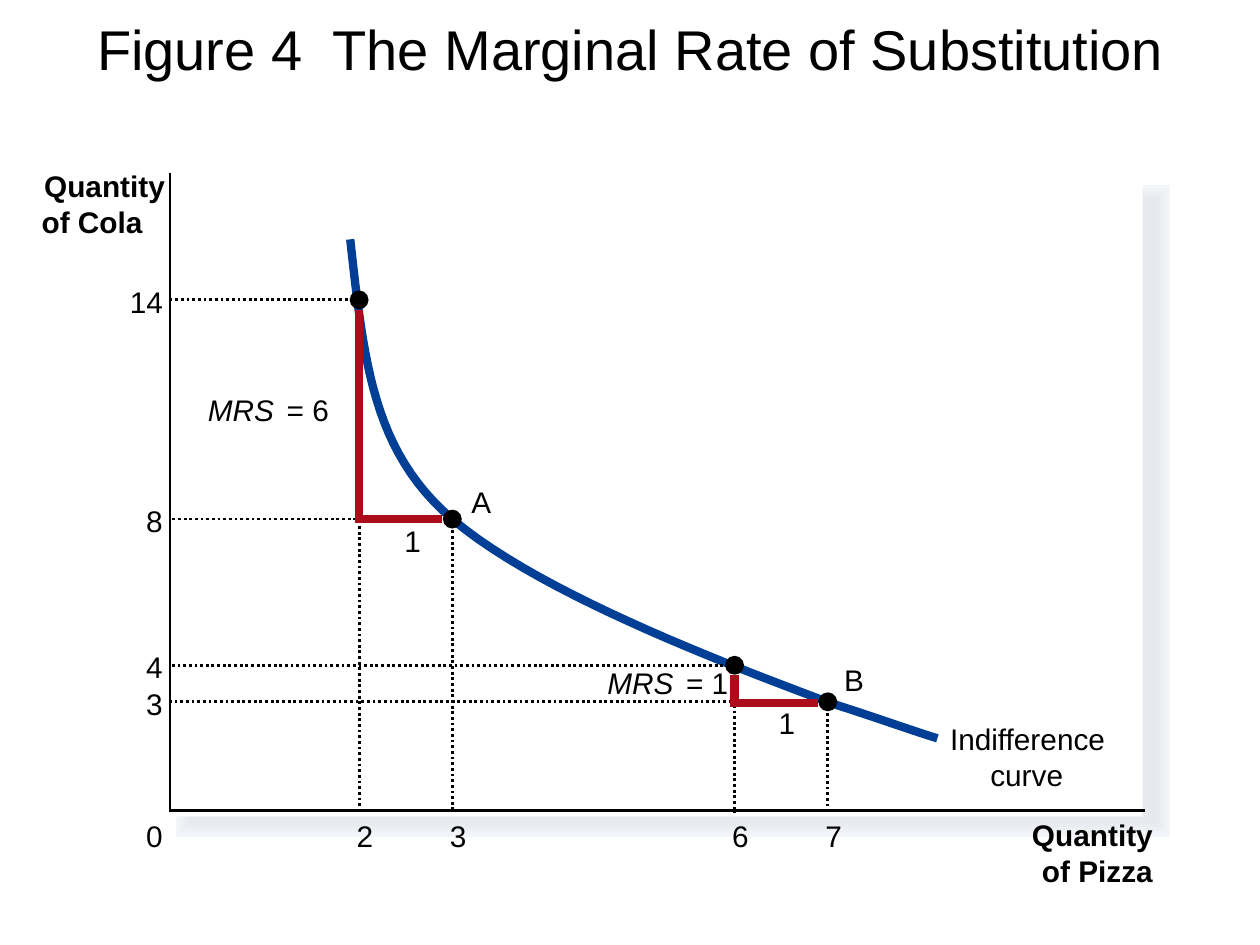
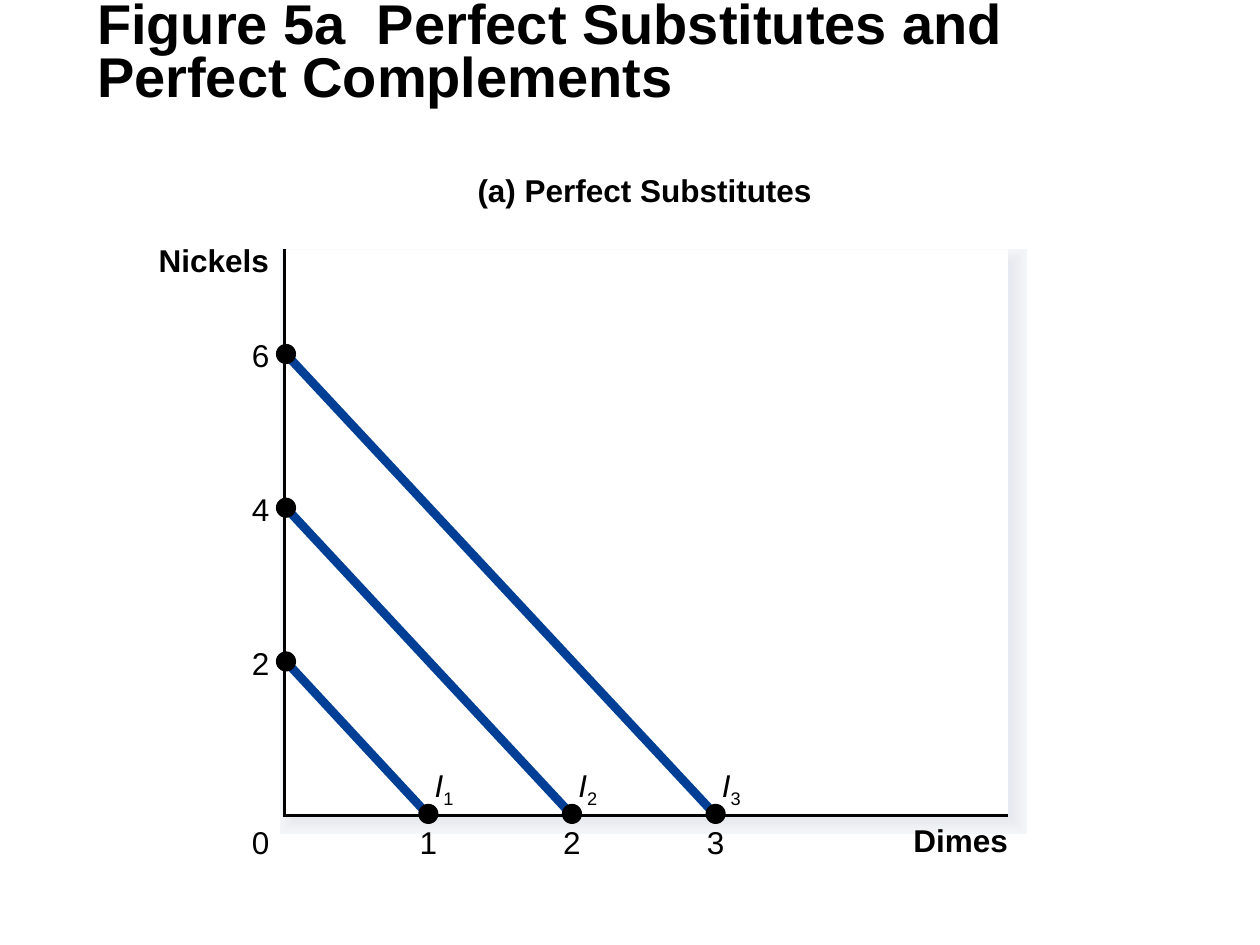
from lxml.etree import SubElement
from pptx import Presentation
from pptx.dml.color import RGBColor
from pptx.enum.dml import MSO_LINE
from pptx.enum.shapes import MSO_CONNECTOR as Conn, MSO_SHAPE as Shape
from pptx.enum.text import MSO_ANCHOR as Anchor, MSO_AUTO_SIZE as Fit, PP_ALIGN as Align
from pptx.oxml.ns import qn
from pptx.util import Inches, Pt

COLORS = {"ink": "000000", "paper": "FFFFFF", "curve": "003F95", "step": "AD0D1B"}
SHADES = ["F3F6F9", "F2F4F8", "F1F4F7", "F0F2F5", "EEF1F4", "EDEFF3",
          "EBEEF2", "EAECF1", "E9EBF0", "E7EAEF", "E6E9EF"]
FONT = "Arial"
THIN = 1.62
SLACK = 0.12  # spare width that keeps each label on one line


def rgb(name):
    return RGBColor.from_string(COLORS.get(name, name))


def bezier(start, *parts, steps=24):
    """Points along joined cubic curves, each part given as two handles and an end."""
    points = [start]
    for one, two, end in parts:
        for n in range(1, steps + 1):
            t = n / steps
            u = 1 - t
            points.append(tuple(
                u**3 * a + 3 * u * u * t * b + 3 * u * t * t * c + t**3 * d
                for a, b, c, d in zip(start, one, two, end)))
        start = end
    return points


class Deck:
    def __init__(self):
        self.prs = Presentation()
        self.prs.slide_width, self.prs.slide_height = Inches(10), Inches(7.5)

    def start(self, title, size, bold=False):
        """Begin a slide whose labels have the given size."""
        self.size = size
        slide = self.prs.slides.add_slide(self.prs.slide_layouts[5])
        self.shapes = slide.shapes
        head = self.shapes.title
        head.left, head.top = Inches(0.67), Inches(0.06)
        head.width, head.height = Inches(9), Inches(0.75)
        frame = head.text_frame
        frame.text = title
        frame.auto_size, frame.word_wrap = Fit.NONE, True
        frame.vertical_anchor = Anchor.MIDDLE
        para = frame.paragraphs[0]
        para.alignment, para.line_spacing = Align.LEFT, 0.8
        self.style(para.runs[0], 32, bold)

    def style(self, run, size, bold=False, italic=False):
        font = run.font
        font.name, font.size = FONT, Pt(size)
        font.bold, font.italic = bold, italic
        font.color.rgb = rgb("ink")

    def text(self, words, left, top, width, bold=False, italic=False, sub=""):
        box = self.shapes.add_textbox(Inches(left), Inches(top),
                                      Inches(width + SLACK), Pt(self.size * 1.2))
        frame = box.text_frame
        frame.margin_left = frame.margin_right = 0
        frame.margin_top = frame.margin_bottom = 0
        frame.word_wrap, frame.auto_size = True, Fit.NONE
        para = frame.paragraphs[0]
        para.text, para.alignment = words, Align.LEFT
        self.style(para.runs[0], self.size, bold, italic)
        if sub:
            low = para.add_run()
            low.text = sub
            self.style(low, self.size)
            low.font._element.set("baseline", "-25000")

    def stroke(self, shape, color, width):
        shape.line.color.rgb = rgb(color)
        shape.line.width = Pt(width)
        edge = shape._element.spPr.find(qn("a:ln"))
        SubElement(edge, qn("a:miter"), lim="800000")

    def solid(self, kind, left, top, width, height, fill, edge=0):
        shape = self.shapes.add_shape(kind, *map(Inches, (left, top, width, height)))
        shape.shadow.inherit = False
        shape.fill.solid()
        shape.fill.fore_color.rgb = rgb(fill)
        if edge:
            self.stroke(shape, fill, edge)
        else:
            shape.line.fill.background()

    def dot(self, x, y, size):
        self.solid(Shape.OVAL, x - size / 2, y - size / 2, size, size, "ink")

    def trace(self, points, color, width):
        """Draw an open outline through the points."""
        first, *rest = [(Inches(x), Inches(y)) for x, y in points]
        pen = self.shapes.build_freeform(*first)
        pen.add_line_segments(rest, close=False)
        shape = pen.convert_to_shape()
        shape.shadow.inherit = False
        shape.fill.background()
        self.stroke(shape, color, width)

    def line(self, start, end, color="ink", width=THIN, dotted=False):
        link = self.shapes.add_connector(Conn.STRAIGHT, *map(Inches, start + end))
        link.line.color.rgb = rgb(color)
        link.line.width = Pt(width)
        if dotted:
            link.line.dash_style = MSO_LINE.ROUND_DOT
        SubElement(link._element.spPr, qn("a:effectLst"))

    def plot(self, shade, panel, axes, widest):
        """Soft shadow, white panel and the two axes."""
        drop = (widest - THIN) / (len(SHADES) - 1)
        for n, color in enumerate(SHADES):
            self.solid(Shape.RECTANGLE, *shade, color, widest - n * drop)
        self.solid(Shape.RECTANGLE, *panel, "paper")
        left, top, right, base = axes
        self.trace([(left, top), (left, base), (right, base)], "ink", THIN)


def rate(deck):
    deck.start("Figure 4  The Marginal Rate of Substitution", 17)
    left, base = 1.35, 6.43
    deck.plot((1.52, 1.59, 7.65, 4.93), (1.33, 1.42, 7.74, 5.06),
              (left, 1.37, 9.09, base), 17.25)
    for words, x, y, width in [("Quantity", 8.19, 6.48, 0.96), ("of Pizza", 8.27, 6.77, 0.88),
                               ("Quantity", 0.35, 1.33, 0.96), ("of Cola", 0.33, 1.62, 0.8)]:
        deck.text(words, x, y, width, bold=True)
    deck.trace(bezier((2.78, 1.9),
                      ((2.89, 2.88), (2.96, 3.58), (3.59, 4.12)),
                      ((4.33, 4.75), (5.96, 5.34), (6.59, 5.58)),
                      ((6.94, 5.69), (7.24, 5.8), (7.44, 5.86))), "curve", 4.75)

    digit = 0.13
    for x, y, pizza, cola in [(3.59, 4.12, "3", "8"), (6.57, 5.57, "7", "3"),
                              (5.83, 5.28, "6", "4"), (2.85, 2.38, "2", "14")]:
        deck.line((x, y), (left, y), dotted=True)
        deck.line((x, y), (x, base + 0.02), dotted=True)
        deck.dot(x, y, 0.15)
        wide = digit * len(cola)
        deck.text(cola, 1.29 - wide, y - 0.13, wide)
        deck.text(pizza, x - 0.02, 6.49, digit)
    for x, top, y in [(2.85, 2.46, 4.12), (5.83, 5.36, 5.58)]:
        deck.trace([(x, top), (x, y), (x + 0.66, y)], "step", 4.75)

    for value, x, y in [("6", 1.65, 3.11), ("1", 4.82, 5.28)]:
        deck.text("MRS", x, y, 0.53, italic=True)
        deck.text(f" = {value}", x + 0.56, y, 0.4)
    for words, x, y, width in [("0", 1.16, 6.49, digit), ("1", 3.21, 4.15, digit),
                               ("1", 6.18, 5.59, digit), ("A", 3.74, 3.84, 0.16),
                               ("B", 6.7, 5.25, 0.16), ("Indifference", 7.54, 5.72, 1.24),
                               ("curve", 7.86, 6.01, 0.58)]:
        deck.text(words, x, y, width)


def perfect(deck):
    deck.start("Figure 5a  Perfect Substitutes and Perfect Complements", 18, bold=True)
    left, base = 2.26, 6.47
    deck.plot((2.35, 2.1, 5.67, 4.39), (2.26, 1.98, 5.74, 4.49),
              (left, 1.98, 8, base), 18.37)
    for words, x, y, width in [("Dimes", 7.25, 6.52, 0.75), ("Nickels", 1.26, 1.91, 0.88),
                               ("(a) Perfect Substitutes", 3.79, 1.36, 2.65)]:
        deck.text(words, x, y, width, bold=True)
    digit = 0.14
    deck.text("0", 2, 6.53, digit)
    for n in range(1, 4):
        x, y = left + 1.14 * n, base - 0.01 - 1.22 * n
        deck.line((left, y), (x, base), "curve", 5)
        deck.text("I", x + 0.05, 6.08, 0.15, italic=True, sub=str(n))
        deck.dot(x, base - 0.01, 0.16)
        deck.dot(left + 0.01, y + 0.01, 0.16)
        deck.text(str(n), x - 0.07, 6.53, digit)
        deck.text(str(2 * n), 2, y - 0.13, digit)


def main():
    deck = Deck()
    rate(deck)
    perfect(deck)
    deck.prs.save("out.pptx")


if __name__ == "__main__":
    main()
